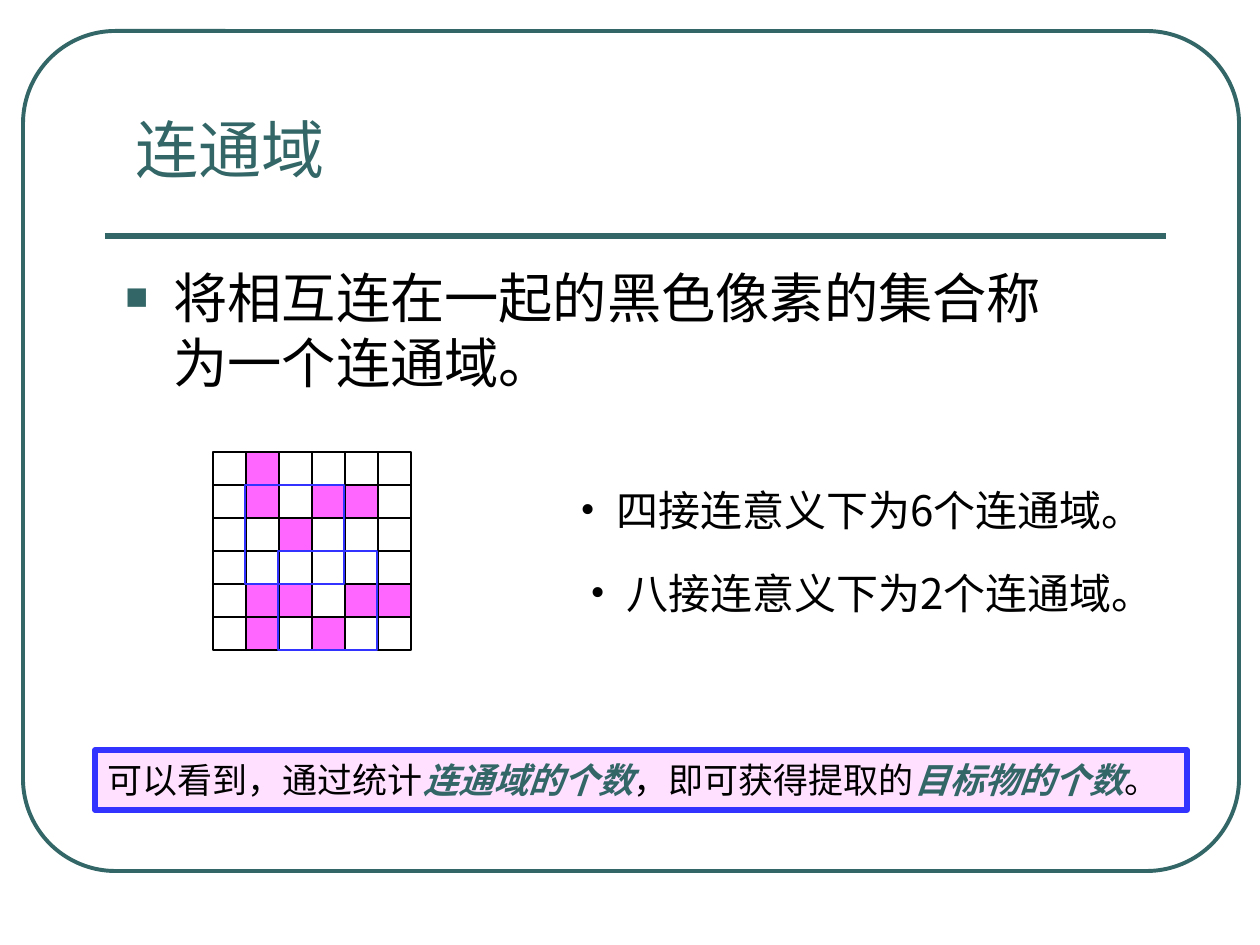
from pptx import Presentation
from pptx.dml.color import RGBColor
from pptx.enum.shapes import MSO_CONNECTOR, MSO_SHAPE
from pptx.enum.text import MSO_ANCHOR
from pptx.oxml.ns import qn
from pptx.util import Pt
from lxml.etree import SubElement

SANS, SERIF = "Noto Sans CJK SC", "Times New Roman"
TEAL, BLUE, PINK, BLACK = "336666", "3333FF", "FF66FF", "000000"
SCALE = 914400 / 126

PLAIN = dict(name=SANS, size=Pt(24))
NOTE = dict(name=SERIF, size=Pt(20), bold=False, italic=False)
STRONG = NOTE | dict(bold=True, italic=True)

TITLE = [("连通域", TEAL, PLAIN | dict(size=Pt(36)))]
BODY = [("将相互连在一起的黑色像素的集合称为一个连通域。", BLACK, PLAIN | dict(size=Pt(31)))]
CLAIMS = [
    (568, 478, "四接连意义下为6个连通域。"),
    (578, 561, "八接连意义下为2个连通域。"),
]
RESULT = [
    ("可以看到，通过统计", BLACK, NOTE),
    ("连通域的个数", TEAL, STRONG),
    ("，即可获得提取的", BLACK, NOTE),
    ("目标物的个数", TEAL, STRONG),
    ("。", BLACK, NOTE),
]
PIXELS = [".#....", ".#.##.", "..#...", "......", ".##.##", ".#.#.."]
LEFT, TOP, CELL = 213, 452, 33
FRAMES = [(1, 1), (2, 3)]


def px(n):
    return round(n * SCALE)


def rgb(code):
    return RGBColor.from_string(code)


def box(slide, area, line, width, fill=None, kind=MSO_SHAPE.RECTANGLE):
    """Add an outlined shape, filled or open."""
    shape = slide.shapes.add_shape(kind, *map(px, area))
    shape.shadow.inherit = False
    if fill:
        shape.fill.solid()
        shape.fill.fore_color.rgb = rgb(fill)
    else:
        shape.fill.background()
    shape.line.color.rgb = rgb(line)
    shape.line.width = Pt(width)
    return shape


def bullet(para, mark, color, size, indent):
    """Give a paragraph a hanging bullet."""
    props = para._p.get_or_add_pPr()
    props.set("marL", str(px(indent)))
    props.set("indent", str(-px(indent)))
    SubElement(SubElement(props, qn("a:buClr")), qn("a:srgbClr"), val=color)
    SubElement(props, qn("a:buSzPct"), val=str(size * 1000))
    SubElement(props, qn("a:buFont"), typeface=SERIF)
    SubElement(props, qn("a:buChar"), char=mark)


def write(shape, runs, anchor, mark=None):
    """Fill a shape with one paragraph of styled runs."""
    frame = shape.text_frame
    frame.word_wrap = True
    frame.vertical_anchor = anchor
    para = frame.paragraphs[0]
    para.alignment = 1
    if mark:
        bullet(para, *mark)
    for text, color, style in runs:
        run = para.add_run()
        run.text = text
        for key, value in style.items():
            setattr(run.font, key, value)
        run.font.color.rgb = rgb(color)
        SubElement(run._r.get_or_add_rPr(), qn("a:ea"), typeface=SANS)


def label(slide, area, *rest):
    write(slide.shapes.add_textbox(*map(px, area)), *rest)


def main():
    deck = Presentation()
    deck.slide_width, deck.slide_height = px(1260), px(945)
    slide = deck.slides.add_slide(deck.slide_layouts[6])

    border = box(slide, (23, 31, 1216, 840), TEAL, 2.25, kind=MSO_SHAPE.ROUNDED_RECTANGLE)
    border.adjustments[0] = 0.11
    rule = slide.shapes.add_connector(MSO_CONNECTOR.STRAIGHT, *map(px, (105, 236, 1166, 236)))
    rule.line.color.rgb = rgb(TEAL)
    rule.line.width = Pt(3)
    SubElement(rule._element.spPr, qn("a:effectLst"))

    label(slide, (123, 100, 260, 92), TITLE, MSO_ANCHOR.BOTTOM)
    label(slide, (113, 258, 963, 189), BODY, MSO_ANCHOR.TOP, ("■", TEAL, 70, 48))

    for row, line in enumerate(PIXELS):
        for col, dot in enumerate(line):
            area = (LEFT + col * CELL, TOP + row * CELL, CELL, CELL)
            box(slide, area, BLACK, 0.75, PINK if dot == "#" else "FFFFFF")
    for col, row in FRAMES:
        area = (LEFT + col * CELL - 1, TOP + row * CELL, 3 * CELL, 3 * CELL)
        box(slide, area, BLUE, 1.5)

    for left, top, text in CLAIMS:
        label(slide, (left, top, 620, 63), [(text, BLACK, PLAIN)],
              MSO_ANCHOR.MIDDLE, ("•", BLACK, 100, 36))

    write(box(slide, (95, 750, 1092, 60), BLUE, 3, "FFE1FF"), RESULT, MSO_ANCHOR.MIDDLE)
    deck.save("out.pptx")


if __name__ == "__main__":
    main()
